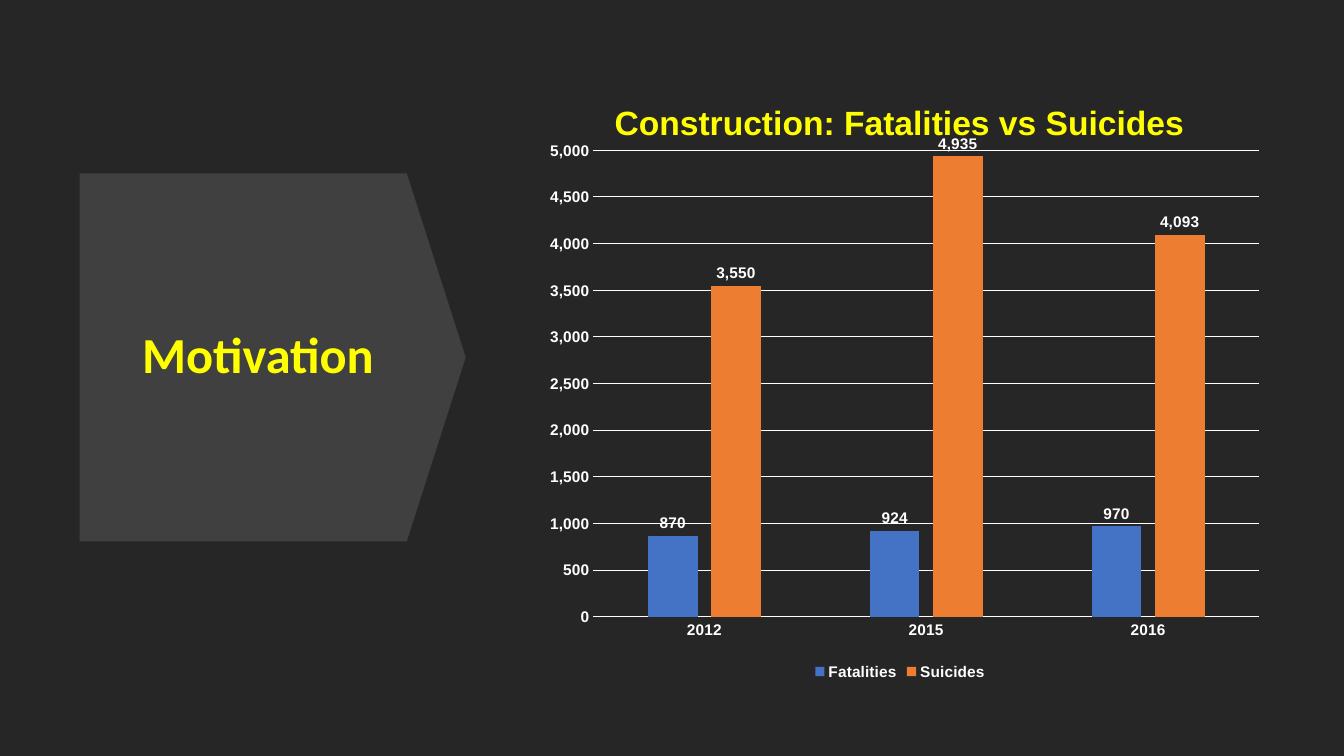
from dataclasses import dataclass
from typing import Any, NamedTuple

from pptx import Presentation
from pptx.chart.data import CategoryChartData
from pptx.dml.color import RGBColor
from pptx.enum.chart import XL_CHART_TYPE, XL_LABEL_POSITION, XL_LEGEND_POSITION, XL_TICK_MARK
from pptx.enum.shapes import MSO_SHAPE
from pptx.enum.text import MSO_ANCHOR, MSO_AUTO_SIZE, PP_ALIGN
from pptx.oxml.ns import qn
from pptx.oxml.xmlchemy import OxmlElement
from pptx.util import Inches, Pt

ARROW = MSO_SHAPE.DOWN_ARROW
BARS = XL_CHART_TYPE.COLUMN_CLUSTERED
ABOVE = XL_LABEL_POSITION.OUTSIDE_END
BOTTOM = XL_LEGEND_POSITION.BOTTOM
NO_TICK = XL_TICK_MARK.NONE
MIDDLE = MSO_ANCHOR.MIDDLE
NO_FIT = MSO_AUTO_SIZE.NONE
CENTER = PP_ALIGN.CENTER

WIDE, HIGH = Inches(13.33), Inches(7.5)
COLS, ROWS = 80, 45


@dataclass(frozen=True)
class Theme:
    """Colours, fonts and type sizes of the slide."""
    back: str = "262626"
    panel: str = "404040"
    accent: str = "FFFF00"
    light: str = "FFFFFF"
    blue: str = "4472C4"
    orange: str = "ED7D31"
    head: str = "Calibri"
    body: str = "Arial"
    big: int = 36
    mid: int = 24
    small: int = 11
    rule: float = 0.75


class Box(NamedTuple):
    """A place on the grid, in columns and rows."""
    col: float
    row: float
    wide: float
    high: float


@dataclass(frozen=True)
class Group:
    """One set of columns in the chart."""
    name: str
    color: str
    counts: tuple[int, ...]


THEME = Theme()
YEARS = ("2012", "2015", "2016")
GROUPS = (
    Group("Fatalities", THEME.blue, (870, 924, 970)),
    Group("Suicides", THEME.orange, (3550, 4935, 4093)),
)
PANEL = Box(5.28, 9.78, 21.9, 22.98)
TITLE = Box(6.72, 12.9, 17.28, 16.74)
CHART = Box(31.32, 4.2, 44.52, 36.54)


def span(box: Box) -> tuple[int, ...]:
    """Turn a grid box into left, top, width and height."""
    unit, line = WIDE / COLS, HIGH / ROWS
    return (round(box.col * unit), round(box.row * line),
            round(box.wide * unit), round(box.high * line))


def dress(item: Any, looks: dict[str, Any]) -> None:
    """Set each format value on an object."""
    for key, value in looks.items():
        setattr(item, key, value)


def ink(font: Any, size: int, color: str, face: str) -> None:
    """Give a font its bold look."""
    dress(font, {"size": Pt(size), "bold": True, "name": face})
    font.color.rgb = RGBColor.from_string(color)


def flood(fill: Any, color: str) -> None:
    """Fill with one plain colour."""
    fill.solid()
    fill.fore_color.rgb = RGBColor.from_string(color)


def stroke(line: Any) -> None:
    """Draw a thin light rule."""
    flood(line.fill, THEME.light)
    line.width = Pt(THEME.rule)


def place(layout: Any, marks: dict[str, Any]) -> None:
    """Write a manual layout for a chart part."""
    manual = OxmlElement("c:manualLayout")
    for tag, value in marks.items():
        node = OxmlElement(f"c:{tag}")
        node.set("val", str(value))
        manual.append(node)
    layout.append(manual)


def fresh(parent: Any, index: int) -> Any:
    """Put an empty layout in a chart part."""
    for old in parent.findall(qn("c:layout")):
        parent.remove(old)
    layout = OxmlElement("c:layout")
    parent.insert(index, layout)
    return layout


def draw_panel(slide: Any) -> None:
    """Draw the wide arrow that points at the chart."""
    arrow = slide.shapes.add_shape(ARROW, *span(PANEL))
    arrow.rotation = 270
    arrow.adjustments[0] = 1
    arrow.adjustments[1] = 0.16
    arrow.shadow.inherit = False
    flood(arrow.fill, THEME.panel)
    arrow.line.fill.background()


def draw_title(slide: Any) -> None:
    """Set the slide title over the arrow."""
    title = slide.shapes.title
    dress(title, dict(zip(("left", "top", "width", "height"), span(TITLE))))
    frame = title.text_frame
    frame.text = "Motivation"
    dress(frame, {"word_wrap": True, "auto_size": NO_FIT, "vertical_anchor": MIDDLE})
    para = frame.paragraphs[0]
    dress(para, {"alignment": CENTER, "line_spacing": 0.9, "space_after": Pt(6)})
    ink(para.runs[0].font, THEME.big, THEME.accent, THEME.head)
    tree = slide.shapes.element
    tree.remove(title.element)
    tree.append(title.element)


def style_axes(chart: Any) -> None:
    """Format both axes and the grid lines."""
    for axis in (chart.category_axis, chart.value_axis):
        dress(axis, {"major_tick_mark": NO_TICK, "minor_tick_mark": NO_TICK})
        ink(axis.tick_labels.font, THEME.small, THEME.light, THEME.body)
    stroke(chart.category_axis.format.line)
    scale = chart.value_axis
    dress(scale, {"minimum_scale": 0, "maximum_scale": 5000, "major_unit": 500})
    dress(scale.tick_labels, {"number_format": "#,##0", "number_format_is_linked": False})
    scale.format.line.fill.background()
    stroke(scale.major_gridlines.format.line)


def style_bars(series: Any, group: Group) -> None:
    """Colour one set of columns and label it."""
    flood(series.format.fill, group.color)
    labels = series.data_labels
    dress(labels, {"show_value": True, "position": ABOVE,
                   "number_format": "#,##0", "number_format_is_linked": False})
    ink(labels.font, THEME.small, THEME.light, THEME.body)


def draw_chart(slide: Any) -> None:
    """Add the column chart with its title and legend."""
    data = CategoryChartData(number_format="#,##0")
    data.categories = YEARS
    for group in GROUPS:
        data.add_series(group.name, group.counts)
    chart = slide.shapes.add_chart(BARS, *span(CHART), data).chart
    ink(chart.font, THEME.small, THEME.light, THEME.body)
    dress(chart, {"has_title": True, "has_legend": True})
    head = chart.chart_title
    head.text_frame.text = "Construction: Fatalities vs Suicides"
    ink(head.text_frame.paragraphs[0].runs[0].font, THEME.mid, THEME.accent, THEME.body)
    place(fresh(head._element, 1), {"xMode": "edge", "yMode": "edge", "x": 0.11, "y": 0.04})
    dress(chart.legend, {"position": BOTTOM, "include_in_layout": False})
    ink(chart.legend.font, THEME.small, THEME.light, THEME.body)
    style_axes(chart)
    plot = chart.plots[0]
    dress(plot, {"gap_width": 219, "overlap": -27, "vary_by_categories": False})
    for series, group in zip(plot.series, GROUPS):
        style_bars(series, group)
    area = chart.element.find(".//" + qn("c:plotArea"))
    place(fresh(area, 0), {"layoutTarget": "inner", "xMode": "edge", "yMode": "edge",
                           "x": 0.09, "y": 0.13, "w": 0.89, "h": 0.76})


def main() -> None:
    """Build the slide and save it."""
    deck = Presentation()
    dress(deck, {"slide_width": WIDE, "slide_height": HIGH})
    slide = deck.slides.add_slide(deck.slide_layouts[5])
    flood(slide.background.fill, THEME.back)
    for draw in (draw_panel, draw_title, draw_chart):
        draw(slide)
    deck.save("out.pptx")


main()
